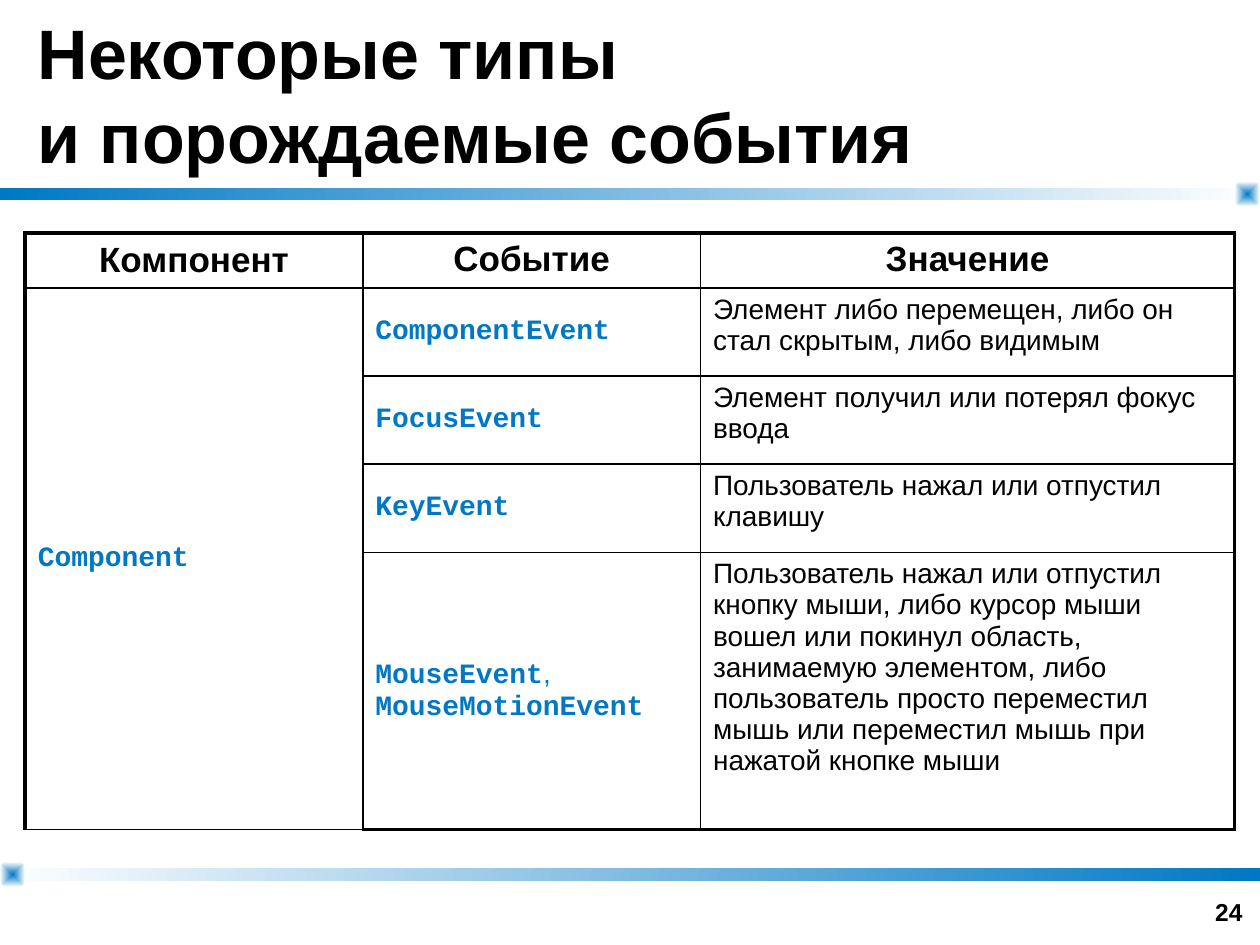
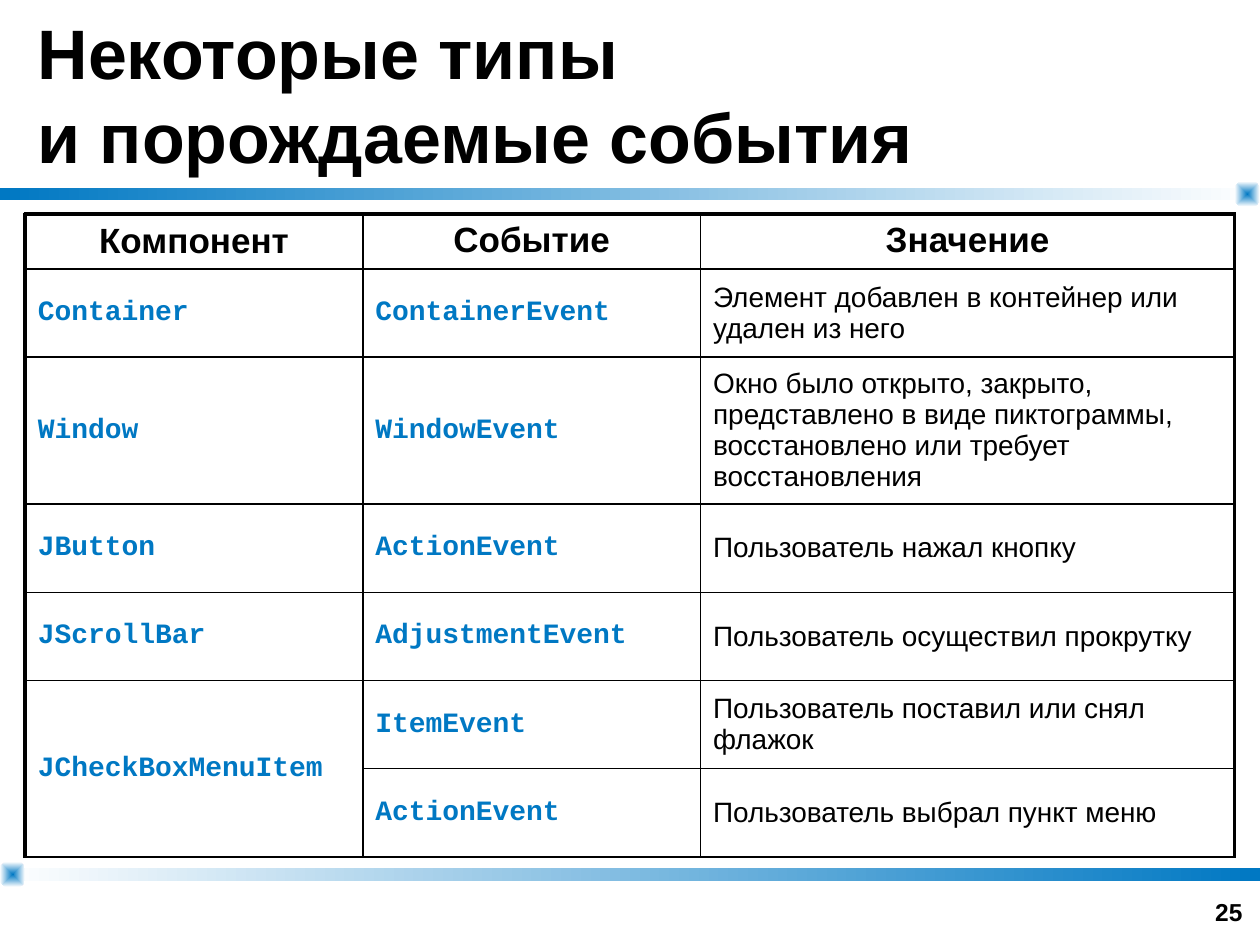
from copy import deepcopy

from lxml import etree
from pptx import Presentation
from pptx.dml.color import RGBColor
from pptx.enum.shapes import MSO_SHAPE
from pptx.enum.text import MSO_ANCHOR, PP_ALIGN
from pptx.oxml.ns import qn
from pptx.util import Inches, Pt

# Grid of 100 columns by 75 rows
COLUMNS, ROWS = 100, 75
UNIT = Inches(0.1)

BLUE = RGBColor(0x00, 0x78, 0xC3)
BLACK = RGBColor(0x00, 0x00, 0x00)
WHITE = RGBColor(0xFF, 0xFF, 0xFF)
BODY_FONT, CODE_FONT = "Arial", "Courier New"

LEFT, CENTER, RIGHT = PP_ALIGN.LEFT, PP_ALIGN.CENTER, PP_ALIGN.RIGHT
TOP, MIDDLE, BOTTOM = MSO_ANCHOR.TOP, MSO_ANCHOR.MIDDLE, MSO_ANCHOR.BOTTOM
RECTANGLE, ROUNDED = MSO_SHAPE.RECTANGLE, MSO_SHAPE.ROUNDED_RECTANGLE

# Shared layout, in grid units
MARGIN = 2
BAND_HEIGHT, MARK_SIZE = 1, 2
TITLE_BAND_TOP, FOOTER_BAND_TOP = 14.9, 68.9
COLUMN_WIDTHS = (26.8, 26.8, 42.4)
HEADER_HEIGHT, ROW_HEIGHT = 4.3, 7
THICK, THIN = 2.25, 1

TITLE = "Некоторые типы\nи порождаемые события"
HEADINGS = ("Компонент", "Событие", "Значение")
MOUSE_EVENTS = (("MouseEvent", CODE_FONT, True), (",\n", BODY_FONT, False),
                ("MouseMotionEvent", CODE_FONT, True))

# Rows hold component, event, meaning and height; None continues the component above
COMPONENT_ROWS = (
    ("Component", "ComponentEvent",
     "Элемент либо перемещен, либо он стал скрытым, либо видимым", ROW_HEIGHT),
    (None, "FocusEvent", "Элемент получил или потерял фокус ввода", ROW_HEIGHT),
    (None, "KeyEvent", "Пользователь нажал или отпустил клавишу", ROW_HEIGHT),
    (None, MOUSE_EVENTS,
     "Пользователь нажал или отпустил кнопку мыши, либо курсор мыши вошел или "
     "покинул область, занимаемую элементом, либо пользователь просто переместил "
     "мышь или переместил мышь при нажатой кнопке мыши", 22),
)
WIDGET_ROWS = (
    ("Container", "ContainerEvent",
     "Элемент добавлен в контейнер или удален из него", ROW_HEIGHT),
    ("Window", "WindowEvent",
     "Окно было открыто, закрыто, представлено в виде пиктограммы, "
     "восстановлено или требует восстановления", 10.9),
    ("JButton", "ActionEvent", "Пользователь нажал кнопку", ROW_HEIGHT),
    ("JScrollBar", "AdjustmentEvent", "Пользователь осуществил прокрутку", ROW_HEIGHT),
    ("JCheckBoxMenuItem", "ItemEvent",
     "Пользователь поставил или снял флажок", ROW_HEIGHT),
    (None, "ActionEvent", "Пользователь выбрал пункт меню", ROW_HEIGHT),
)


def grid(*lengths):
    return [round(length * UNIT) for length in lengths]


def write(text_frame, content, size=16, font=BODY_FONT, color=BLACK, bold=False,
          align=LEFT, line_spacing=None):
    """Write a string, or a series of (text, font, bold) pieces, as one paragraph."""
    paragraph = text_frame.paragraphs[0]
    paragraph.alignment = align
    paragraph.line_spacing = line_spacing
    pieces = [(content, font, bold)] if isinstance(content, str) else content
    for text, piece_font, piece_bold in pieces:
        for number, line in enumerate(text.split("\n")):
            if number:
                # The break keeps the size of the text before it
                paragraph.add_line_break()
                paragraph._p[-1].append(deepcopy(run._r.rPr))
            if line:
                run = paragraph.add_run()
                run.text = line
                run.font.size = Pt(size)
                run.font.name = piece_font
                run.font.bold = piece_bold
                run.font.color.rgb = color


def add_text(slide, content, box, anchor, **text_format):
    text_frame = slide.shapes.add_textbox(*grid(*box)).text_frame
    text_frame.word_wrap = True
    text_frame.vertical_anchor = anchor
    write(text_frame, content, **text_format)


def add_gradient_shape(slide, kind, box, colors):
    shape = slide.shapes.add_shape(kind, *grid(*box))
    shape.shadow.inherit = False
    shape.line.fill.background()
    shape.fill.gradient()
    shape.fill.gradient_angle = 0
    for stop, color in zip(shape.fill.gradient_stops, colors):
        stop.color.rgb = color
    return shape


def add_mark(slide, left, top):
    """Add a small square that fades from its centre outwards."""
    mark = add_gradient_shape(slide, ROUNDED, (left, top, MARK_SIZE, MARK_SIZE),
                              (BLUE, WHITE))
    mark.adjustments[0] = 0.32
    gradient = mark._element.spPr.find(qn("a:gradFill"))
    linear = gradient.find(qn("a:lin"))
    radial = etree.Element(qn("a:path"), {"path": "shape"})
    etree.SubElement(radial, qn("a:fillToRect"), dict.fromkeys("ltrb", "50000"))
    gradient.replace(linear, radial)


def add_frame(slide, page_number):
    """Add the bands, their end marks, the title and the page number."""
    for top, colors, mark_left in (
            (TITLE_BAND_TOP, (BLUE, WHITE), COLUMNS - MARK_SIZE),
            (FOOTER_BAND_TOP, (WHITE, BLUE), 0)):
        add_gradient_shape(slide, RECTANGLE, (0, top, COLUMNS, BAND_HEIGHT), colors)
        add_mark(slide, mark_left, top - (MARK_SIZE - BAND_HEIGHT) / 2)
    add_text(slide, str(page_number), (76.3, 69, 23.3, 5), BOTTOM,
             size=14, bold=True, align=RIGHT)
    add_text(slide, TITLE, (MARGIN, 0, COLUMNS - 2 * MARGIN, TITLE_BAND_TOP), MIDDLE,
             size=40, bold=True, line_spacing=Pt(48))


def set_borders(cell, **widths):
    properties = cell._tc.get_or_add_tcPr()
    for side in "LRTB":
        line = etree.SubElement(properties, qn("a:ln" + side),
                                {"w": str(Pt(widths[side]))})
        fill = etree.SubElement(line, qn("a:solidFill"))
        etree.SubElement(fill, qn("a:srgbClr"), {"val": str(BLACK)})


def add_event_table(slide, top, rows, meaning_anchor, bottom_border):
    heights = [HEADER_HEIGHT] + [row[-1] for row in rows]
    table = slide.shapes.add_table(
        len(heights), len(COLUMN_WIDTHS),
        *grid(MARGIN, top, sum(COLUMN_WIDTHS), sum(heights))).table
    table.first_row = table.horz_banding = False
    for column, width in zip(table.columns, grid(*COLUMN_WIDTHS)):
        column.width = width
    for table_row, height in zip(table.rows, grid(*heights)):
        table_row.height = height

    # Outer borders are heavier than inner ones
    last_row, last_column = len(rows), len(COLUMN_WIDTHS) - 1
    for row in range(last_row + 1):
        for column in range(last_column + 1):
            cell = table.cell(row, column)
            set_borders(cell, L=THIN if column else THICK, T=THIN if row else THICK,
                        R=THICK if column == last_column else THIN,
                        B=bottom_border if row == last_row else THIN)
            cell.fill.background()

    for column, heading in enumerate(HEADINGS):
        cell = table.cell(0, column)
        cell.vertical_anchor = TOP if column else MIDDLE
        write(cell.text_frame, heading, size=20, bold=True, align=CENTER)

    code = {"font": CODE_FONT, "color": BLUE, "bold": True}
    formats = ((MIDDLE, code), (MIDDLE, code), (meaning_anchor, {}))
    for row, contents in enumerate(rows, start=1):
        for column, (anchor, text_format) in enumerate(formats):
            if contents[column] is not None:
                cell = table.cell(row, column)
                cell.vertical_anchor = anchor
                write(cell.text_frame, contents[column], **text_format)

    # Join each component with the rows that continue it
    starts = [row for row, contents in enumerate(rows, start=1) if contents[0]]
    for start, following in zip(starts, starts[1:] + [last_row + 1]):
        if following - start > 1:
            table.cell(start, 0).merge(table.cell(following - 1, 0))


def main():
    presentation = Presentation()
    presentation.slide_width, presentation.slide_height = grid(COLUMNS, ROWS)
    blank_layout = presentation.slide_layouts[6]
    for page_number, top, rows, meaning_anchor, bottom_border in (
            (24, 18.5, COMPONENT_ROWS, TOP, THICK),
            (25, 17, WIDGET_ROWS, MIDDLE, THIN)):
        slide = presentation.slides.add_slide(blank_layout)
        add_frame(slide, page_number)
        add_event_table(slide, top, rows, meaning_anchor, bottom_border)
    presentation.save("out.pptx")


if __name__ == "__main__":
    main()
